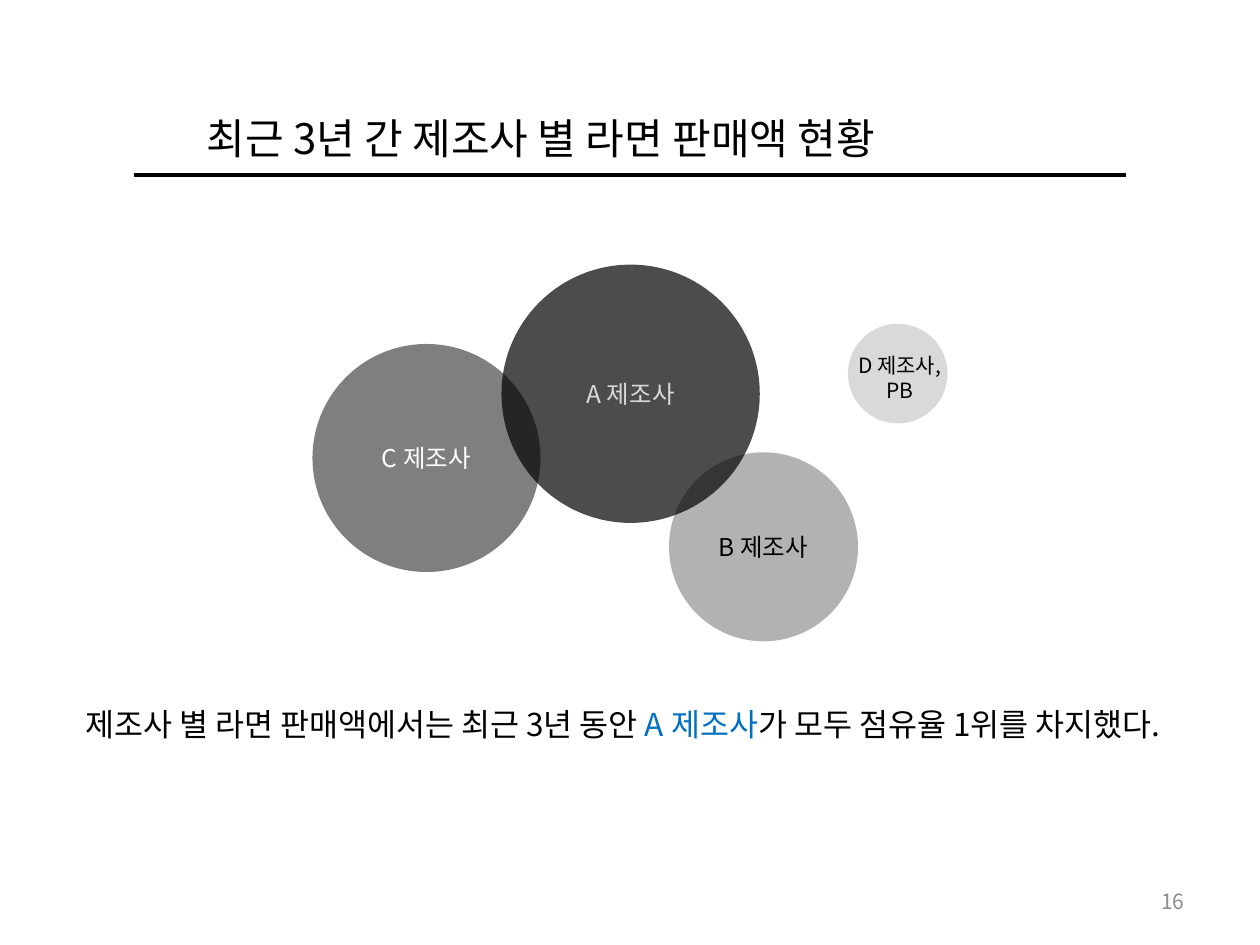
from dataclasses import dataclass, field

from lxml.etree import SubElement
from pptx import Presentation
from pptx.dml.color import RGBColor
from pptx.enum.shapes import MSO_CONNECTOR, MSO_SHAPE
from pptx.enum.text import MSO_ANCHOR, MSO_AUTO_SIZE, PP_ALIGN
from pptx.oxml.ns import qn
from pptx.slide import Slide
from pptx.text.text import TextFrame
from pptx.util import Inches, Pt

FONT = "Noto Sans CJK KR"
BLACK = RGBColor(0x00, 0x00, 0x00)
WHITE = RGBColor(0xFF, 0xFF, 0xFF)
LIGHT_GRAY = RGBColor(0xD9, 0xD9, 0xD9)
PAGE_GRAY = RGBColor(0x8C, 0x8C, 0x8C)
BLUE = RGBColor(0x00, 0x70, 0xC0)

Span = tuple[str, RGBColor]


@dataclass
class Label:
    left: float
    top: float
    width: float
    height: float
    size: int
    paragraphs: list[list[Span]]
    align: PP_ALIGN = PP_ALIGN.LEFT
    frame_format: dict = field(default_factory=dict)
    hanging: float = 0


@dataclass
class Bubble:
    left: float
    top: float
    diameter: float
    opacity: int
    text: str = ""
    color: RGBColor = BLACK


GROWING = {"auto_size": MSO_AUTO_SIZE.SHAPE_TO_FIT_TEXT}
LABELS = [
    # Title
    Label(1.54, 0.84, 6.93, 0.5, 24, [[("최근 3년 간 제조사 별 라면 판매액 현황", BLACK)]],
          frame_format=GROWING, hanging=0.5),
    # Page number
    Label(7.17, 6.95, 2.33, 0.4, 12, [[("16", PAGE_GRAY)]], PP_ALIGN.RIGHT,
          {"vertical_anchor": MSO_ANCHOR.MIDDLE}),
    # Conclusion
    Label(0.58, 5.55, 8.83, 0.4, 18,
          [[("제조사 별 라면 판매액에서는 최근 3년 동안 ", BLACK), ("A 제조사", BLUE),
            ("가 모두 점유율 1위를 차지했다.", BLACK)]],
          frame_format=GROWING),
    # Caption of the smallest bubble
    Label(6.71, 2.75, 0.86, 0.5, 12, [[("D 제조사,", BLACK)], [("PB", BLACK)]],
          PP_ALIGN.CENTER, GROWING | {"word_wrap": False}),
]
BUBBLES = [
    Bubble(3.98, 2.1, 2.05, 70, "A 제조사", LIGHT_GRAY),
    Bubble(2.48, 2.73, 1.81, 50, "C 제조사", WHITE),
    Bubble(5.31, 3.59, 1.5, 30, "B 제조사"),
    Bubble(6.73, 2.57, 0.79, 15),
]


def write_text(frame: TextFrame, paragraphs: list[list[Span]], size: int,
               align: PP_ALIGN, frame_format: dict) -> None:
    for name, value in ({"word_wrap": True} | frame_format).items():
        setattr(frame, name, value)
    for index, spans in enumerate(paragraphs):
        para = frame.add_paragraph() if index else frame.paragraphs[0]
        para.alignment = align
        for text, color in spans:
            span = para.add_run()
            span.text = text
            for name, value in {"name": FONT, "size": Pt(size)}.items():
                setattr(span.font, name, value)
            span.font.color.rgb = color
            # Hangul takes the East Asian typeface
            SubElement(span.font._element, qn("a:ea"), typeface=FONT)


def draw_label(page: Slide, label: Label) -> None:
    box = page.shapes.add_textbox(Inches(label.left), Inches(label.top),
                                  Inches(label.width), Inches(label.height))
    write_text(box.text_frame, label.paragraphs, label.size, label.align,
               label.frame_format)
    if label.hanging:
        properties = box.text_frame.paragraphs[0]._p.get_or_add_pPr()
        properties.set("marL", str(Inches(label.hanging)))
        properties.set("indent", str(-Inches(label.hanging)))


def draw_bubble(page: Slide, bubble: Bubble) -> None:
    circle = page.shapes.add_shape(MSO_SHAPE.OVAL, Inches(bubble.left), Inches(bubble.top),
                                   Inches(bubble.diameter), Inches(bubble.diameter))
    circle.shadow.inherit = False
    circle.line.fill.background()
    circle.fill.solid()
    circle.fill.fore_color.rgb = BLACK
    fill_color = circle.fill._xPr.find(qn("a:solidFill"))[0]
    SubElement(fill_color, qn("a:alpha"), val=str(bubble.opacity * 1000))
    if bubble.text:
        write_text(circle.text_frame, [[(bubble.text, bubble.color)]], 14,
                   PP_ALIGN.CENTER, {"vertical_anchor": MSO_ANCHOR.MIDDLE})


def draw_title_rule(page: Slide) -> None:
    rule = page.shapes.add_connector(MSO_CONNECTOR.STRAIGHT, Inches(1.06), Inches(1.39),
                                     Inches(8.94), Inches(1.39))
    rule.line.color.rgb = BLACK
    rule.line.width = Pt(2)
    SubElement(rule._element.spPr, qn("a:effectLst"))


def main() -> None:
    deck = Presentation()
    deck.slide_width, deck.slide_height = Inches(10), Inches(7.5)
    page = deck.slides.add_slide(deck.slide_layouts[6])
    draw_title_rule(page)
    for bubble in BUBBLES:
        draw_bubble(page, bubble)
    for label in LABELS:
        draw_label(page, label)
    deck.save("out.pptx")


if __name__ == "__main__":
    main()
